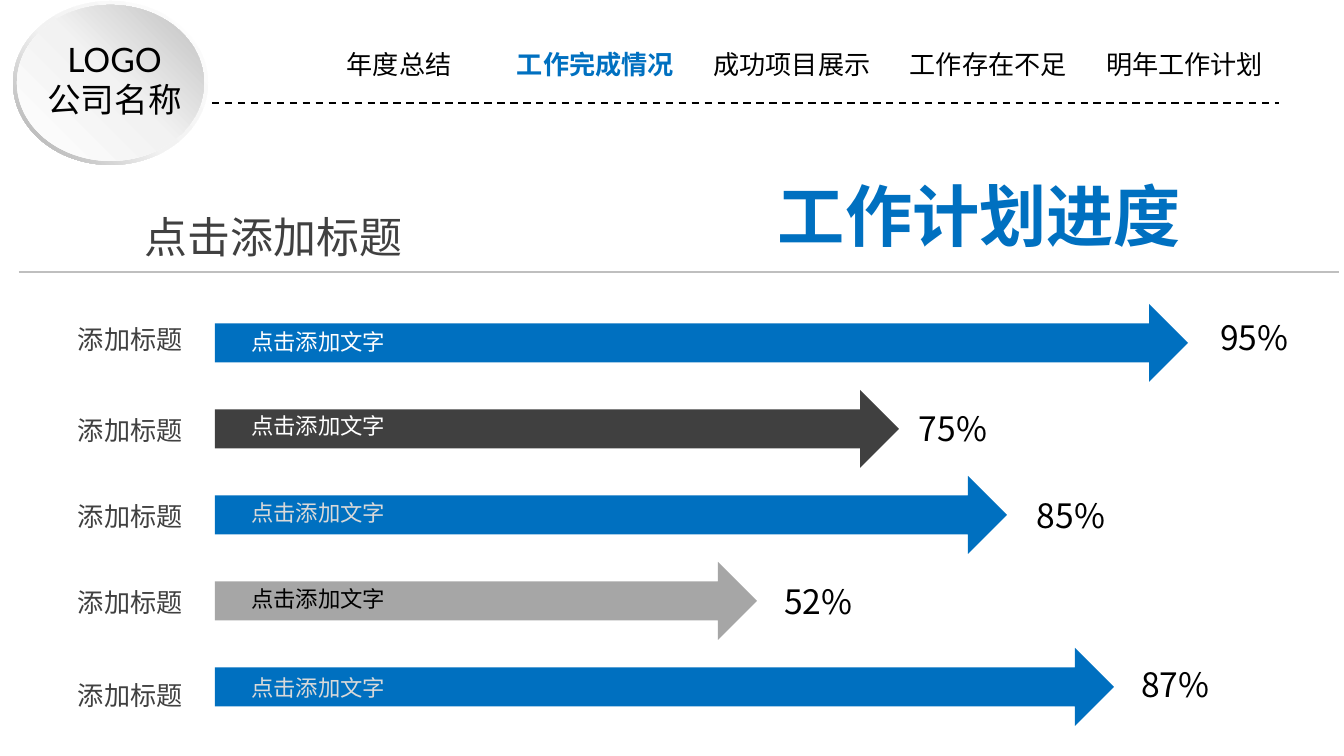
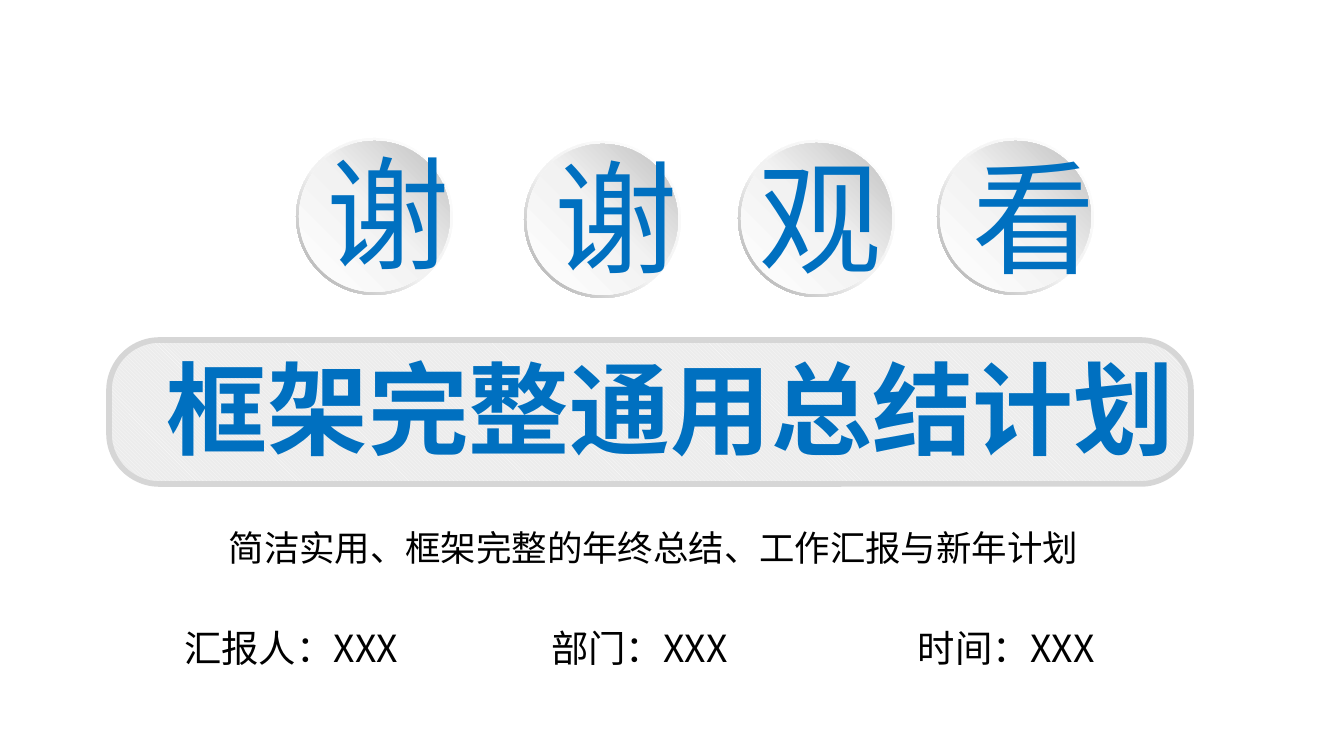
from copy import deepcopy
from pptx import Presentation
from pptx.dml.color import RGBColor
from pptx.enum.dml import MSO_LINE, MSO_PATTERN
from pptx.enum.shapes import MSO_CONNECTOR, MSO_SHAPE as SHAPE
from pptx.enum.text import MSO_ANCHOR as ANCHOR, MSO_AUTO_SIZE as FIT, PP_ALIGN as ALIGN
from pptx.oxml.ns import qn
from pptx.util import Pt

NAV = ["年度总结", "工作完成情况", "成功项目展示", "工作存在不足", "明年工作计划"]
CURRENT = "工作完成情况"
LOGO = ["LOGO", "公司名称"]
HEADING = "工作计划进度"
SUBHEADING = "点击添加标题"
ROW_LABEL, ROW_CAPTION = "添加标题", "点击添加文字"
ROWS = [
    dict(value="95%", length=973, fill="blue", ink="white", label_dy=12, caption_dy=17, value_dy=6, gap=19),
    dict(value="75%", length=684, fill="dark", ink="white", label_dy=17, caption_dy=15, value_dy=11, gap=7),
    dict(value="85%", length=792, fill="blue", ink="pale", label_dy=17, caption_dy=16, value_dy=12, gap=17),
    dict(value="52%", length=542, fill="grey", ink="black", label_dy=17, caption_dy=16, value_dy=12, gap=14),
    dict(value="87%", length=899, fill="blue", ink="pale", label_dy=24, caption_dy=19, value_dy=9, gap=14),
]
THANKS = [
    dict(char="谢", ball=(296, 138), text=(314, 130)),
    dict(char="谢", ball=(524, 141), text=(542, 134)),
    dict(char="观", ball=(738, 140), text=(746, 134)),
    dict(char="看", ball=(937, 138), text=(960, 134)),
]
BANNER = "框架完整通用总结计划"
TAGLINE = "简洁实用、框架完整的年终总结、工作汇报与新年计划"
CREDITS = [("汇报人：XXX", 171, 395), ("部门：XXX", 538, 419), ("时间：XXX", 905, 344)]

COLORS = dict(blue="0070C0", dark="404040", grey="A6A6A6", pale="D9D9D9", rule="BFBFBF",
              soft="F2F2F2", white="FFFFFF", black="000000", hatch="FAFAFA",
              panel="ECECEC", edge="D6D6D6")
FONT = "Noto Sans CJK SC"
SCALE = 914400 / 134.4


def px(*values):
    return [round(v * SCALE) for v in values]


def rgb(name):
    return RGBColor.from_string(COLORS[name])


def write(tf, text, size=14, color="black", bold=False, font=FONT, align=ALIGN.LEFT):
    lines = [text] if isinstance(text, str) else text
    for i, line in enumerate(lines):
        p = tf.paragraphs[0] if i == 0 else tf.add_paragraph()
        p.alignment = align
        r = p.add_run()
        r.text = line
        r.font.size, r.font.bold, r.font.name = Pt(size), bold, font
        r.font.color.rgb = rgb(color)
        ea = r.font._element.makeelement(qn("a:ea"), {"typeface": FONT})
        r.font._element.find(qn("a:latin")).addnext(ea)


def add_text(shapes, text, box, wrap=False, inset=(13, 7), anchor=ANCHOR.TOP,
             fit=FIT.SHAPE_TO_FIT_TEXT, **style):
    tf = shapes.add_textbox(*px(*box)).text_frame
    tf.word_wrap, tf.auto_size, tf.vertical_anchor = wrap, fit, anchor
    tf.margin_left, tf.margin_top = tf.margin_right, tf.margin_bottom = px(*inset)
    write(tf, text, **style)


def add_shape(shapes, kind, box, fill=None):
    sp = shapes.add_shape(kind, *px(*box))
    sp.shadow.inherit = False
    sp.line.fill.background()
    if fill:
        sp.fill.solid()
        sp.fill.fore_color.rgb = rgb(fill)
    return sp


def add_gradient(sp, stops, angle):
    sp.fill.gradient()
    sp.fill.gradient_angle = angle
    stop_list = sp.element.spPr.find(".//" + qn("a:gsLst"))
    stop_list.append(deepcopy(stop_list[0]))
    for stop, (position, color) in zip(sp.fill.gradient_stops, stops):
        stop.position = position
        stop.color.rgb = rgb(color)


def add_ball(shapes, x, y, w, h, rim):
    group = shapes.add_group_shape().shapes
    ring = add_shape(group, SHAPE.DONUT, (x, y, w, h))
    ring.adjustments[0] = 0.05
    add_gradient(ring, [(0, "white"), (0.55, "soft"), (1, "grey")], 225)
    face = add_shape(group, SHAPE.OVAL, (x + rim, y + rim, w - 2 * rim, h - 2 * rim))
    add_gradient(face, [(0, "white"), (0.51, "soft"), (1, "rule")], 45)


def add_rule(shapes, x1, x2, y, color, width, dash=None):
    line = shapes.add_connector(MSO_CONNECTOR.STRAIGHT, *px(x1, y, x2, y))
    line.line.color.rgb, line.line.width = rgb(color), Pt(width)
    if dash:
        line.line.dash_style = dash
    sppr = line.element.spPr
    sppr.append(sppr.makeelement(qn("a:effectLst"), {}))


def add_nav(shapes):
    table = shapes.add_table(1, len(NAV), *px(301, 39, 982, 41)).table
    table.first_row = table.horz_banding = False
    for cell, name in zip(table.rows[0].cells, NAV):
        cell.fill.background()
        cell.margin_left, cell.margin_top = cell.margin_right, cell.margin_bottom = px(9, 5)
        active = name == CURRENT
        write(cell.text_frame, name, bold=active, color="blue" if active else "black",
              align=ALIGN.CENTER)


def add_progress(shapes, y, row):
    group = shapes.add_group_shape().shapes
    left, length = 215, row["length"]
    add_text(group, ROW_LABEL, (65, y + row["label_dy"], 133, 46), color="dark")
    add_shape(group, SHAPE.RIGHT_ARROW, (left, y, length, 78), row["fill"])
    add_text(group, ROW_CAPTION, (238, y + row["caption_dy"], 163, 40), size=12, color=row["ink"])
    add_text(group, row["value"], (left + length + row["gap"], y + row["value_dy"], 101, 56), size=18)


def build_progress(shapes):
    add_ball(shapes, 13, 1, 195, 164, 4)
    add_text(shapes, LOGO, (17, 59, 195, 40), wrap=True, anchor=ANCHOR.MIDDLE, fit=FIT.NONE,
             size=18, font="Lato", align=ALIGN.CENTER)
    add_nav(shapes)
    add_rule(shapes, 212, 1279, 103, "black", 1, MSO_LINE.DASH)
    add_rule(shapes, 19, 1339, 272, "rule", 0.75)
    add_text(shapes, HEADING, (765, 167, 434, 95), size=36, color="blue", bold=True)
    add_text(shapes, SUBHEADING, (130, 203, 290, 67), inset=(15, 8), size=23, color="dark")
    for i, row in enumerate(ROWS):
        add_progress(shapes, 304 + 86 * i, row)


def build_thanks(shapes):
    panel = add_shape(shapes, SHAPE.ROUNDED_RECTANGLE, (109, 340, 1082, 144))
    panel.adjustments[0] = 0.35
    panel.fill.patterned()
    panel.fill.pattern = MSO_PATTERN.DARK_DOWNWARD_DIAGONAL
    panel.fill.fore_color.rgb, panel.fill.back_color.rgb = rgb("hatch"), rgb("panel")
    panel.line.color.rgb, panel.line.width = rgb("edge"), Pt(3)
    add_text(shapes, BANNER, (94, 347, 1153, 122), wrap=True, inset=(0, 0), size=54,
             color="blue", bold=True, align=ALIGN.CENTER)
    for item in THANKS:
        add_ball(shapes, *item["ball"], 157, 157, 3)
    for item in THANKS:
        add_text(shapes, item["char"], (*item["text"], 125, 163), wrap=True, size=66,
                 color="blue", font="Arial Narrow", align=ALIGN.CENTER)
    for text, x, width in CREDITS:
        add_text(shapes, text, (x, 618, width, 59), wrap=True, size=20)
    add_text(shapes, TAGLINE, (165, 517, 977, 60), wrap=True, inset=(17, 9), size=19,
             font="DejaVu Sans", align=ALIGN.CENTER)


def main():
    prs = Presentation()
    prs.slide_width, prs.slide_height = px(1344, 756)
    for build in (build_progress, build_thanks):
        build(prs.slides.add_slide(prs.slide_layouts[6]).shapes)
    prs.save("out.pptx")


if __name__ == "__main__":
    main()
